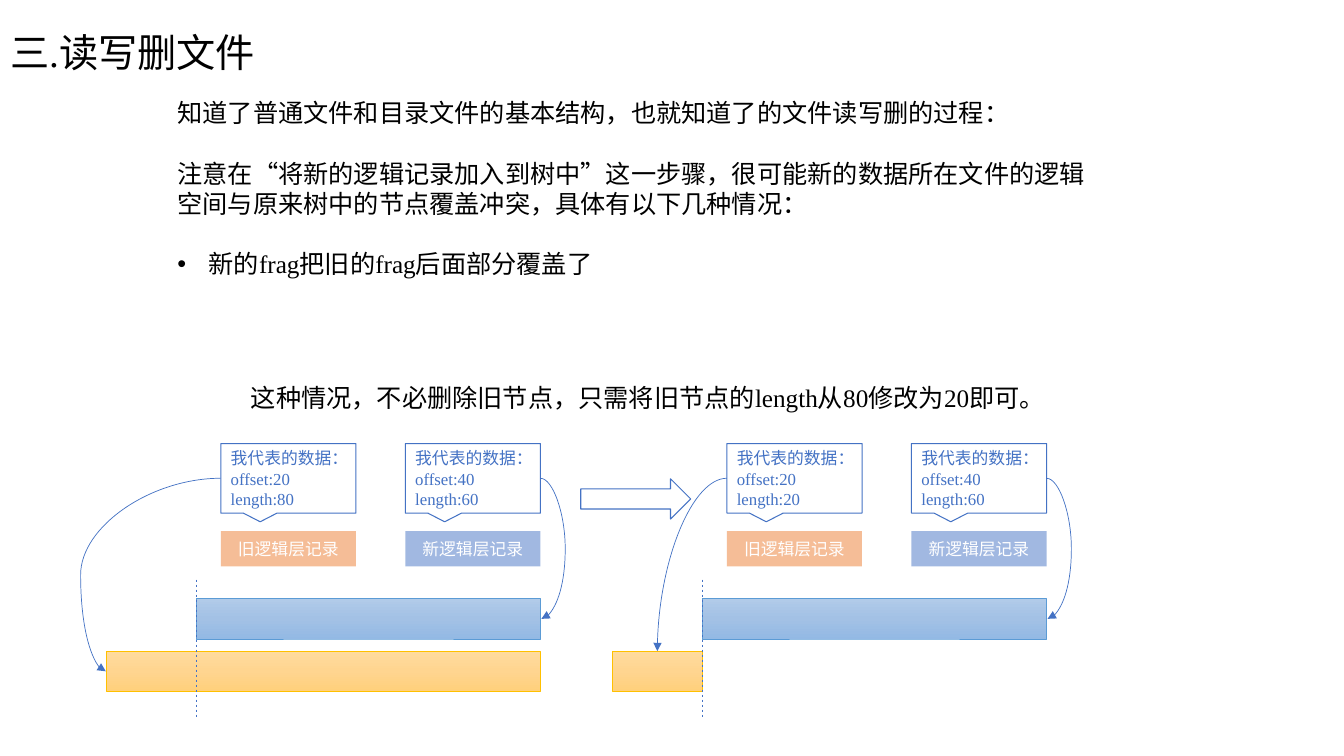
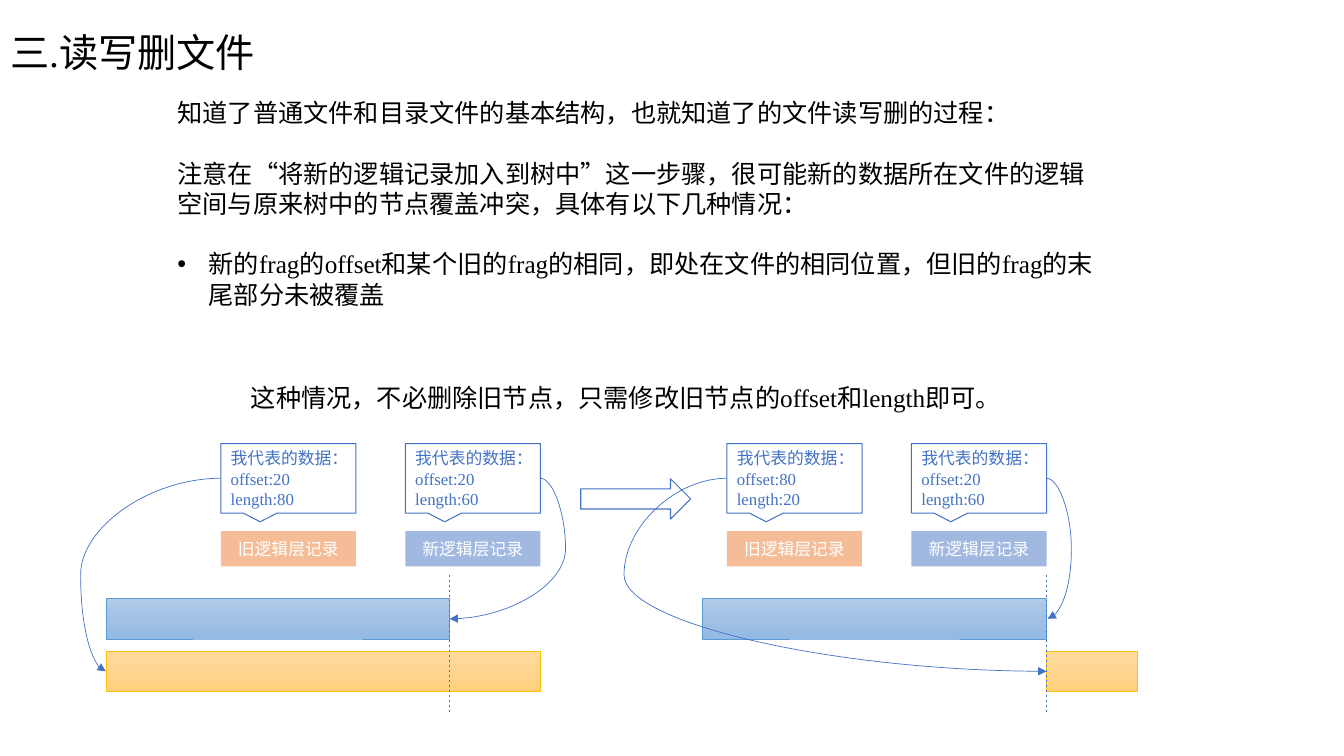
"""Build two slides showing how overlapping file fragments update logical records."""
from copy import deepcopy

from lxml.etree import SubElement
from pptx import Presentation
from pptx.dml.color import RGBColor
from pptx.enum.dml import MSO_LINE
from pptx.enum.shapes import MSO_CONNECTOR, MSO_SHAPE
from pptx.enum.text import MSO_ANCHOR, MSO_AUTO_SIZE, PP_ALIGN
from pptx.oxml.ns import qn
from pptx.util import Inches, Pt

RECT, CALLOUT = MSO_SHAPE.RECTANGLE, MSO_SHAPE.RECTANGULAR_CALLOUT
ARROW = MSO_SHAPE.RIGHT_ARROW
CURVE, STRAIGHT = MSO_CONNECTOR.CURVE, MSO_CONNECTOR.STRAIGHT
LEFT, CENTER = PP_ALIGN.LEFT, PP_ALIGN.CENTER
TOP, MIDDLE = MSO_ANCHOR.TOP, MSO_ANCHOR.MIDDLE
NO_FIT, DASH = MSO_AUTO_SIZE.NONE, MSO_LINE.DASH
TOP_SITE, LEFT_SITE, RIGHT_SITE = 0, 1, 3

FONT = "Times New Roman"
BLACK, WHITE, BLUE, ORANGE = "000000", "FFFFFF", "4472C4", "ED7D31"
OLD_BAR = {"stops": ("FFDB9E", "FFD590", "FFD07C"), "edge": "FFC000", "top": 6.46}
NEW_BAR = {"stops": ("B1CBE9", "A3C1E5", "93B9E4"), "edge": "5B9BD5", "top": 5.94}

TITLE = "三.读写删文件"
TITLE_BOX = (0, 0, 4.69, 1.09)
BODY_BOX = (1.66, 0.92, 9.36, 2.22)
CONCLUSION_BOX = (2.39, 3.74, 8.54, 0.4)
ARROW_BOX = (5.76, 4.75, 1.09, 0.4)
INTRO = [
    "知道了普通文件和目录文件的基本结构，也就知道了的文件读写删的过程：",
    "注意在“将新的逻辑记录加入到树中”这一步骤，很可能新的数据所在文件的逻辑空间与原来树中的节点覆盖冲突，具体有以下几种情况：",
]

PANEL_LEFT, PANEL_STEP = 1.05, 5.02
OLD_LEFT, NEW_LEFT = 1.14, 2.97
RECORD_WIDTH, RECORD_TOP, RECORD_HEIGHT = 1.34, 5.27, 0.35
CALLOUT_TOP, CALLOUT_HEIGHT = 4.4, 0.69
BAR_HEIGHT, CUT_HEIGHT = 0.4, 1.36
SHORT, LONG = 0.9, 3.41
WHOLE = SHORT + LONG
NEW_BEND, OLD_BEND = 4.56, -0.25

CASES = [
    {
        "bullet": "新的frag把旧的frag后面部分覆盖了",
        "conclusion": "这种情况，不必删除旧节点，只需将旧节点的length从80修改为20即可。",
        "cut_top": 5.75,
        "panels": [
            {"old": (20, 80), "new": (40, 60), "old_bar": (0, WHOLE),
             "new_bar": (SHORT, LONG), "cut": SHORT,
             "old_site": LEFT_SITE, "old_bend": OLD_BEND},
            {"old": (20, 20), "new": (40, 60), "old_bar": (0, SHORT),
             "new_bar": (SHORT, LONG), "cut": SHORT,
             "old_site": TOP_SITE, "old_bend": None},
        ],
    },
    {
        "bullet": "新的frag的offset和某个旧的frag的相同，即处在文件的相同位置，但旧的frag的末尾部分未被覆盖",
        "conclusion": "这种情况，不必删除旧节点，只需修改旧节点的offset和length即可。",
        "cut_top": 5.7,
        "panels": [
            {"old": (20, 80), "new": (20, 60), "old_bar": (0, WHOLE),
             "new_bar": (0, LONG), "cut": LONG,
             "old_site": LEFT_SITE, "old_bend": OLD_BEND},
            {"old": (80, 20), "new": (20, 60), "old_bar": (WHOLE, SHORT),
             "new_bar": (SHORT, LONG), "cut": WHOLE,
             "old_site": LEFT_SITE, "old_bend": 0.12},
        ],
    },
]


def rgb(value):
    return RGBColor.from_string(value)


def inches(values):
    return [Inches(value) for value in values]


def place(target, box):
    for side, value in zip(("left", "top", "width", "height"), inches(box)):
        setattr(target, side, value)


def write(frame, lines, size, color, anchor=TOP, **paragraph_format):
    frame.text = "\n".join(lines)
    frame_format = {"word_wrap": True, "auto_size": NO_FIT, "vertical_anchor": anchor}
    for key, value in frame_format.items():
        setattr(frame, key, value)
    for paragraph in frame.paragraphs:
        for key, value in {"alignment": LEFT, **paragraph_format}.items():
            setattr(paragraph, key, value)
        for run in paragraph.runs:
            run.font.name, run.font.size = FONT, Pt(size)
            run.font.color.rgb = rgb(color)


def write_body(frame, bullet):
    write(frame, [*INTRO, bullet], 18, BLACK, space_before=Pt(0))
    for index, paragraph in enumerate(frame.paragraphs):
        if index:
            paragraph.space_before = Pt(21.5)
        is_bullet = index == len(INTRO)
        indent = Inches(0.31) if is_bullet else 0
        properties = paragraph._p.get_or_add_pPr()
        properties.set("marL", str(indent))
        properties.set("indent", str(-indent))
        if is_bullet:
            SubElement(properties, qn("a:buFont"), typeface="Arial")
            SubElement(properties, qn("a:buChar"), char="•")
        else:
            SubElement(properties, qn("a:buNone"))


def add_outline(slide, kind, box, color, width):
    shape = slide.shapes.add_shape(kind, *inches(box))
    shape.shadow.inherit = False
    shape.fill.background()
    shape.line.color.rgb = rgb(color)
    shape.line.width = Pt(width)
    return shape


def add_bar(slide, left, width, style):
    box = (left, style["top"], width, BAR_HEIGHT)
    bar = add_outline(slide, RECT, box, style["edge"], 0.5)
    bar.fill.gradient()
    bar.fill.gradient_angle = 270
    stop_list = bar._element.spPr.find(qn("a:gradFill")).find(qn("a:gsLst"))
    stop_list.insert(1, deepcopy(stop_list[0]))
    for index, (stop, color) in enumerate(zip(bar.fill.gradient_stops, style["stops"])):
        stop.color.rgb = rgb(color)
        stop.position = index / 2
    return bar


def add_record(slide, left, label, color, data):
    record = slide.shapes.add_shape(
        RECT, *inches((left, RECORD_TOP, RECORD_WIDTH, RECORD_HEIGHT)))
    record.shadow.inherit = False
    record.fill.solid()
    record.fill.fore_color.rgb = rgb(color)
    tint = record._element.spPr.find(qn("a:solidFill"))[0]
    SubElement(tint, qn("a:alpha"), val="50000")
    record.line.fill.background()
    write(record.text_frame, [label], 12, WHITE, MIDDLE, alignment=CENTER)

    callout_box = (left, CALLOUT_TOP, RECORD_WIDTH, CALLOUT_HEIGHT)
    callout = add_outline(slide, CALLOUT, callout_box, BLUE, 0.75)
    offset, length = data
    lines = ["我代表的数据：", f"offset:{offset}", f"length:{length}"]
    write(callout.text_frame, lines, 12, BLUE, MIDDLE)
    return callout


def style_connector(connector):
    connector.line.color.rgb = rgb(BLUE)
    connector.line.width = Pt(0.5)
    SubElement(connector._element.spPr, qn("a:effectLst"))


def add_link(slide, callout, callout_site, bar, bar_site, bend):
    link = slide.shapes.add_connector(CURVE, 0, 0, 0, 0)
    link.begin_connect(callout, callout_site)
    link.end_connect(bar, bar_site)
    if abs(link.end_x - link.begin_x) < Inches(0.01):
        link.end_x = link.begin_x + Inches(0.01)
    style_connector(link)
    properties = link._element.spPr
    SubElement(properties.find(qn("a:ln")), qn("a:tailEnd"), type="triangle")
    geometry = properties.find(qn("a:prstGeom"))
    if bend is None:
        geometry.set("prst", "curvedConnector2")
        return
    ratio = (Inches(bend) - link.begin_x) / (link.end_x - link.begin_x)
    guides = geometry.find(qn("a:avLst"))
    SubElement(guides, qn("a:gd"), name="adj1", fmla=f"val {round(ratio * 100000)}")


def add_cut(slide, x, top):
    cut = slide.shapes.add_connector(STRAIGHT, *inches((x, top, x, top + CUT_HEIGHT)))
    style_connector(cut)
    cut.line.dash_style = DASH


def add_panel(slide, left, panel, cut_top):
    old_start, old_width = panel["old_bar"]
    new_start, new_width = panel["new_bar"]
    old_bar = add_bar(slide, left + old_start, old_width, OLD_BAR)
    new_bar = add_bar(slide, left + new_start, new_width, NEW_BAR)
    old = add_record(slide, left + OLD_LEFT, "旧逻辑层记录", ORANGE, panel["old"])
    new = add_record(slide, left + NEW_LEFT, "新逻辑层记录", BLUE, panel["new"])
    bend = panel["old_bend"]
    old_bend = None if bend is None else left + bend
    add_link(slide, old, LEFT_SITE, old_bar, panel["old_site"], old_bend)
    add_link(slide, new, RIGHT_SITE, new_bar, RIGHT_SITE, left + NEW_BEND)
    add_cut(slide, left + panel["cut"], cut_top)


def add_case(deck, layout, case):
    slide = deck.slides.add_slide(layout)
    write(slide.shapes.title.text_frame, [TITLE], 28, BLACK, MIDDLE, line_spacing=0.9)
    write_body(slide.placeholders[1].text_frame, case["bullet"])
    conclusion = slide.shapes.add_textbox(*inches(CONCLUSION_BOX))
    write(conclusion.text_frame, [case["conclusion"]], 18, BLACK)
    add_outline(slide, ARROW, ARROW_BOX, BLUE, 0.75)
    for index, panel in enumerate(case["panels"]):
        add_panel(slide, PANEL_LEFT + index * PANEL_STEP, panel, case["cut_top"])


def main():
    deck = Presentation()
    deck.slide_width, deck.slide_height = inches((13.33, 7.5))
    layout = deck.slide_layouts[1]
    for placeholder, box in zip(layout.placeholders, (TITLE_BOX, BODY_BOX)):
        place(placeholder, box)
    for case in CASES:
        add_case(deck, layout, case)
    deck.save("out.pptx")


if __name__ == "__main__":
    main()
